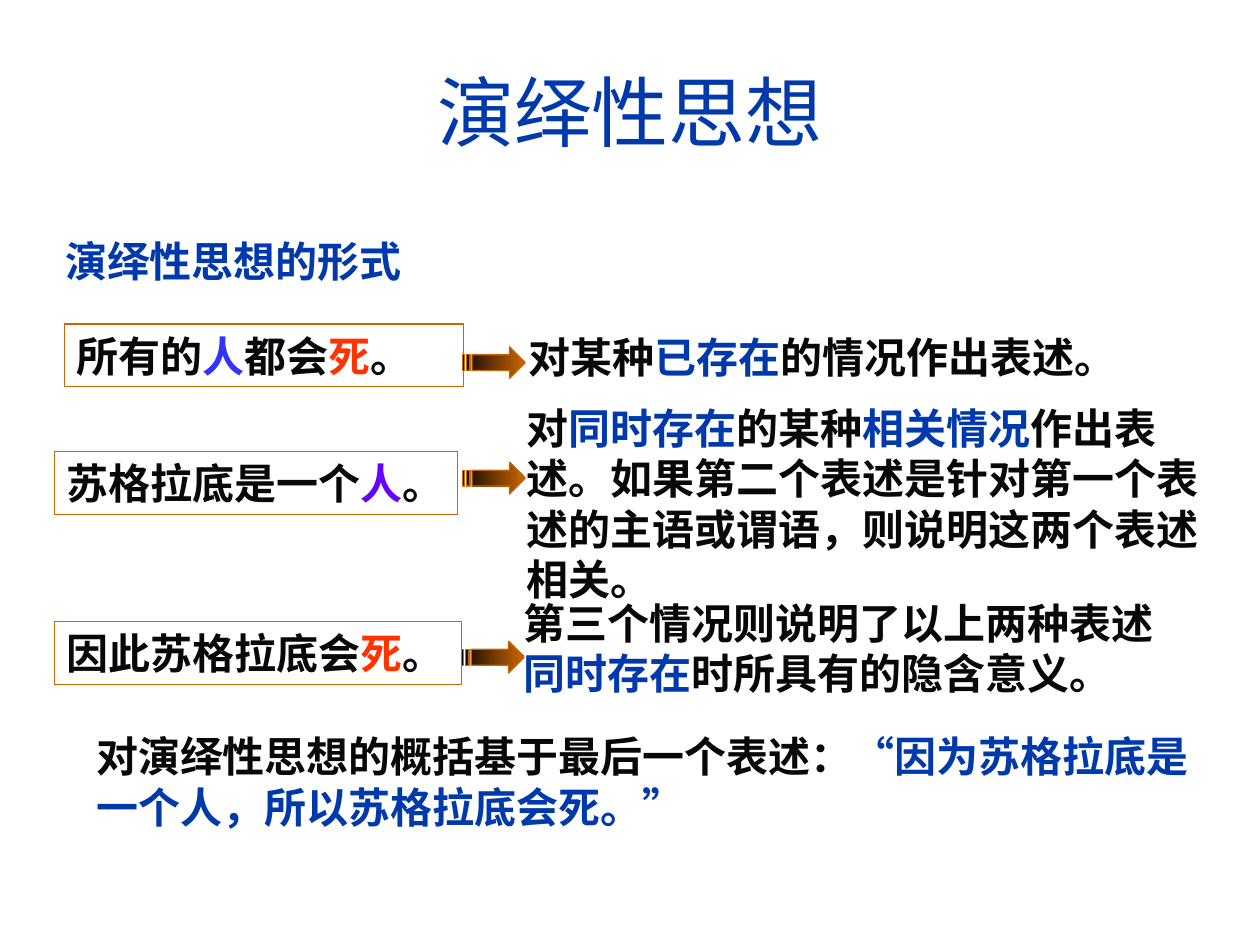
"""Build a slide on the form of deductive thought."""
from lxml import etree
from pptx import Presentation
from pptx import util as u
from pptx.dml.color import RGBColor
from pptx.enum import shapes, text
from pptx.oxml.ns import qn

HUES = {"ink": "080808", "blue": "0039AC", "man": "3333FF", "violet": "6600FF",
        "red": "FF3300", "rust": "CC6600", "dark": "0D0600"}
SANS, MONO = "Noto Sans CJK SC", "Courier New"

TITLE = "演绎性思想"
BOXES = [
    ((1.3, 6.53, 8.05, 1.27), True,
     [("所有的", "ink"), ("人", "man"), ("都会", "ink"), ("死", "red"), ("。", "ink")]),
    ((1.1, 9.1, 8.13, 1.27), False,
     [("苏格拉底是一个", "ink"), ("人", "violet"), ("。", "ink")]),
    ((1.1, 12.53, 8.2, 1.27), True,
     [("因此苏格拉底会", "ink"), ("死", "red"), ("。", "ink")]),
]
NOTES = [
    ((1.07, 4.62, 7.6, 1.27), False, [("演绎性思想的形式", "blue")]),
    ((10.41, 6.55, 12.5, 1.27), False,
     [("对某种", "ink"), ("已存在", "blue"), ("的情况作出表述。", "ink")]),
    ((10.36, 7.98, 14.6, 3.3), True,
     [("对", "ink"), ("同时存在", "blue"), ("的某种", "ink"), ("相关情况", "blue"),
      ("作出表述。如果第二个表述是针对第一个表述的主语或谓语，则说明这两个表述相关。", "ink")]),
    ((10.31, 11.91, 13.97, 2.29), True,
     [("第三个情况则说明了以上两种表述", "ink"), ("同时存在", "blue"),
      ("时所具有的隐含意义。", "ink")]),
    ((1.7, 14.6, 22.76, 2.29), True,
     [("对演绎性思想的概括基于最后一个表述：", "ink"), ("“", "blue", MONO),
      ("因为苏格拉底是一个人，所以苏格拉底会死。", "blue"), ("”", "blue", MONO)]),
]
ARROWS = [(9.32, 6.99), (9.32, 9.32), (9.3, 12.93)]
WIDE, HIGH = 1.27, 0.64
PARTS = [
    [(24, 0), (24, 4), (5, 4), (5, 12), (24, 12), (24, 16), (32, 8)],
    [(2, 4), (2, 12), (4, 12), (4, 4)],
    [(0, 4), (0, 12), (1, 12), (1, 4)],
]


def rgb(key):
    return RGBColor.from_string(HUES[key])


def add_run(para, words, hue, face=SANS, size=24, bold=True):
    run = para.add_run()
    run.text = words
    font = run.font
    font.name, font.size, font.bold = face, u.Pt(size), bold
    font.color.rgb = rgb(hue)
    etree.SubElement(run._r.rPr, qn("a:ea"), typeface=SANS)


def fill_text(shape, wrap, runs):
    frame = shape.text_frame
    frame.word_wrap = wrap
    frame.vertical_anchor = text.MSO_ANCHOR.TOP
    frame.margin_left = frame.margin_right = u.Cm(0.25)
    frame.margin_top = frame.margin_bottom = u.Cm(0.13)
    para = frame.paragraphs[0]
    para.alignment = text.PP_ALIGN.LEFT
    para.line_spacing = u.Pt(28.8)
    para._p.get_or_add_pPr().set("hangingPunct", "0")
    for run in runs:
        add_run(para, *run)


def edge(shape):
    shape.shadow.inherit = False
    shape.line.color.rgb = rgb("rust")
    shape.line.width = u.Pt(0.75)


def add_arrow(slide, left, top):
    spots = [[(u.Cm(left + x * WIDE / 32), u.Cm(top + y * HIGH / 16))
              for x, y in part] for part in PARTS]
    pen = slide.shapes.build_freeform(*spots[0][0])
    pen.add_line_segments(spots[0][1:], close=True)
    for part in spots[1:]:
        pen.move_to(*part[0])
        pen.add_line_segments(part[1:], close=True)
    arrow = pen.convert_to_shape()
    edge(arrow)
    arrow.fill.gradient()
    arrow.fill.gradient_angle = 0
    for stop, hue in zip(arrow.fill.gradient_stops, ("dark", "rust")):
        stop.color.rgb = rgb(hue)


def main():
    deck = Presentation()
    deck.slide_width, deck.slide_height = u.Cm(25.4), u.Cm(19.05)
    slide = deck.slides.add_slide(deck.slide_layouts[5])
    head = slide.shapes.title
    head.left, head.top, head.width, head.height = map(u.Cm, (0.84, 0.64, 23.72, 3.18))
    head.text_frame.vertical_anchor = text.MSO_ANCHOR.MIDDLE
    para = head.text_frame.paragraphs[0]
    para.alignment = text.PP_ALIGN.CENTER
    add_run(para, TITLE, "blue", "Arial", 44, False)
    for area, wrap, runs in BOXES:
        box = slide.shapes.add_shape(shapes.MSO_SHAPE.RECTANGLE, *map(u.Cm, area))
        box.fill.background()
        edge(box)
        fill_text(box, wrap, runs)
    for area, wrap, runs in NOTES:
        fill_text(slide.shapes.add_textbox(*map(u.Cm, area)), wrap, runs)
    for left, top in ARROWS:
        add_arrow(slide, left, top)
    deck.save("out.pptx")


if __name__ == "__main__":
    main()
